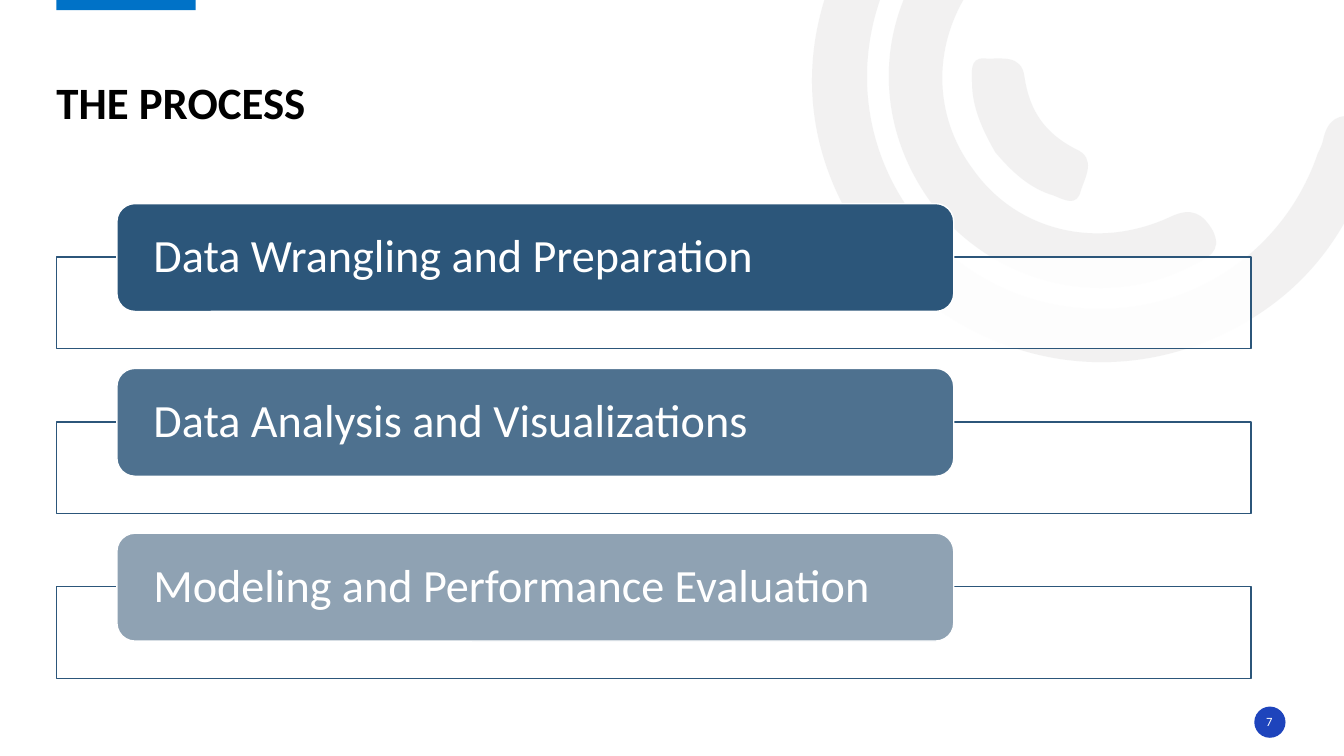
"""Build the process slide: three labelled stages over a decorative arc motif."""
from math import cos, radians, sin

from lxml import etree
from pptx import Presentation
from pptx.dml.color import RGBColor
from pptx.enum.shapes import MSO_SHAPE
from pptx.enum.text import MSO_ANCHOR, PP_ALIGN
from pptx.oxml.ns import qn
from pptx.util import Inches, Pt

FONT = "Calibri"
COLORS = {
    "arc": "E7E6E6", "accent": "0072C7", "badge": "1E44BC", "outline": "2C567A",
    "white": "FFFFFF", "black": "000000",
    "wrangling": "2C567A", "analysis": "4E718F", "modeling": "8FA2B3",
}
TITLE = "THE PROCESS"
PAGE = "7"
STAGES = [
    ("Data Wrangling and Preparation", "wrangling"),
    ("Data Analysis and Visualizations", "analysis"),
    ("Modeling and Performance Evaluation", "modeling"),
]
FRAME_LEFT, FRAME_TOP, FRAME_WIDTH, FRAME_HEIGHT = 0.56, 2.55, 11.85, 0.91
LABEL_LEFT, LABEL_TOP, LABEL_WIDTH, LABEL_HEIGHT = 1.16, 2.02, 8.3, 1.07
STAGE_PITCH = 3.27 / 2
ARC_ROTATION = 144.2
ARCS = [
    ((8.13, -2.02, 4.85, 6), (8.51, 2.29), [
        (7.99, 1.49, 7.87, 0.5, 8.38, -0.5),
        (8.9, -1.52, 9.76, -2.03, 10.9, -2.07),
        (11.05, -2.07, 11.21, -2.1, 11.31, -1.95),
        (11.44, -1.75, 11.27, -1.54, 10.98, -1.54),
        (9.67, -1.54, 8.65, -0.59, 8.6, 0.68),
        (8.56, 1.81, 9.36, 2.81, 10.46, 3.02),
        (11.6, 3.24, 12.7, 2.61, 13.07, 1.52),
        (13.09, 1.48, 13.11, 1.44, 13.12, 1.4),
        (13.16, 1.19, 13.27, 1.11, 13.49, 1.17),
        (13.73, 1.24, 13.67, 1.41, 13.61, 1.56),
        (13.34, 2.45, 12.78, 3.07, 11.91, 3.41),
        (10.7, 3.87, 9.36, 3.45, 8.51, 2.29),
    ]),
    ((9.01, -0.78, 2.13, 4.26), (9.22, 1.99), [
        (8.62, 1.15, 8.69, 0.07, 9.4, -0.68),
        (9.51, -0.79, 9.62, -0.95, 9.8, -0.78),
        (9.95, -0.64, 9.97, -0.5, 9.79, -0.32),
        (9.25, 0.26, 9.2, 1.08, 9.65, 1.68),
        (10.08, 2.29, 10.88, 2.49, 11.61, 2.15),
        (11.82, 2.05, 11.93, 2.12, 12.03, 2.29),
        (12.13, 2.5, 11.97, 2.56, 11.83, 2.63),
        (10.96, 3.1, 9.83, 2.82, 9.22, 1.99),
    ]),
    ((9.8, 0.37, 0.78, 1.83), (9.87, 1.51), [
        (9.75, 1.3, 9.64, 1.07, 9.64, 0.82),
        (9.64, 0.73, 9.61, 0.57, 9.76, 0.58),
        (9.92, 0.59, 10.13, 0.53, 10.16, 0.76),
        (10.21, 1.1, 10.36, 1.32, 10.67, 1.48),
        (10.88, 1.57, 10.76, 1.76, 10.72, 1.89),
        (10.68, 2.06, 10.55, 1.98, 10.45, 1.94),
        (10.21, 1.87, 10.03, 1.7, 9.87, 1.51),
    ]),
]


def rgb(name):
    return RGBColor.from_string(COLORS[name])


def place(shape, box):
    shape.left, shape.top, shape.width, shape.height = map(Inches, box)


def paint(shape, fill, line=None, opacity=100):
    shape.shadow.inherit = False
    shape.fill.solid()
    shape.fill.fore_color.rgb = rgb(fill)
    if opacity < 100:
        color = shape._element.spPr.find(qn("a:solidFill"))[0]
        etree.SubElement(color, qn("a:alpha")).set("val", str(opacity * 1000))
    if line:
        shape.line.color.rgb = rgb(line)
        shape.line.width = Pt(1)
    else:
        shape.line.fill.background()


def add_preset(slide, preset, box, fill, line=None, opacity=100):
    shape = slide.shapes.add_shape(preset, *map(Inches, box))
    paint(shape, fill, line, opacity)
    return shape


def write(shape, text, size, color, align=PP_ALIGN.LEFT, inset=0,
          anchor=MSO_ANCHOR.MIDDLE, bold=False, spacing=0.9):
    frame = shape.text_frame
    frame.text = text
    frame.word_wrap = True
    frame.vertical_anchor = anchor
    frame.margin_left = frame.margin_right = Inches(inset)
    frame.margin_top = frame.margin_bottom = 0
    paragraph = frame.paragraphs[0]
    paragraph.alignment = align
    paragraph.line_spacing = spacing
    paragraph.font.name = FONT
    paragraph.font.size = Pt(size)
    paragraph.font.bold = bold
    paragraph.font.color.rgb = rgb(color)


def turn_back(x, y, box):
    left, top, width, height = box
    angle = radians(ARC_ROTATION)
    dx, dy = x - left - width / 2, y - top - height / 2
    return (Inches(width / 2 + dx * cos(angle) + dy * sin(angle)),
            Inches(height / 2 - dx * sin(angle) + dy * cos(angle)))


def add_arc(slide, box, start, segments):
    curves = [[turn_back(*segment[i:i + 2], box) for i in (0, 2, 4)]
              for segment in segments]
    origin = turn_back(*start, box)
    builder = slide.shapes.build_freeform(*origin)
    builder.add_line_segments([curve[-1] for curve in curves], close=True)
    arc = builder.convert_to_shape()
    place(arc, box)
    arc.rotation = ARC_ROTATION
    paint(arc, "arc", opacity=53)

    outline = next(arc._element.iter(qn("a:path")))
    outline.set("w", str(arc.width))
    outline.set("h", str(arc.height))
    for step in list(outline):
        outline.remove(step)
    for tag, points in [("a:moveTo", [origin]),
                        *(("a:cubicBezTo", curve) for curve in curves),
                        ("a:close", [])]:
        step = etree.SubElement(outline, qn(tag))
        for x, y in points:
            etree.SubElement(step, qn("a:pt"), x=str(int(x)), y=str(int(y)))


def add_stage(slide, index, text, color):
    offset = index * STAGE_PITCH
    add_preset(slide, MSO_SHAPE.RECTANGLE,
               (FRAME_LEFT, FRAME_TOP + offset, FRAME_WIDTH, FRAME_HEIGHT),
               "white", "outline", opacity=90)
    label = add_preset(slide, MSO_SHAPE.ROUNDED_RECTANGLE,
                       (LABEL_LEFT, LABEL_TOP + offset, LABEL_WIDTH, LABEL_HEIGHT),
                       color, "white")
    write(label, text, 33, "white", inset=0.31)


def main():
    deck = Presentation()
    deck.slide_width, deck.slide_height = Inches(13.33), Inches(7.5)
    slide = deck.slides.add_slide(deck.slide_layouts[5])

    for box, start, segments in ARCS:
        add_arc(slide, box, start, segments)
    add_preset(slide, MSO_SHAPE.RECTANGLE, (0.56, -0.02, 1.38, 0.12), "accent")
    add_preset(slide, MSO_SHAPE.OVAL, (12.44, 7.01, 0.31, 0.31), "badge")
    page = slide.shapes.add_textbox(*map(Inches, (12.43, 7.06, 0.32, 0.2)))
    write(page, PAGE, 9, "white", align=PP_ALIGN.CENTER, spacing=1.0)

    for index, (text, color) in enumerate(STAGES):
        add_stage(slide, index, text, color)

    title = slide.shapes.title
    place(title, (0.56, 0.27, 12.19, 1.01))
    write(title, TITLE, 32, "black", anchor=MSO_ANCHOR.BOTTOM, bold=True)

    deck.save("out.pptx")


if __name__ == "__main__":
    main()
